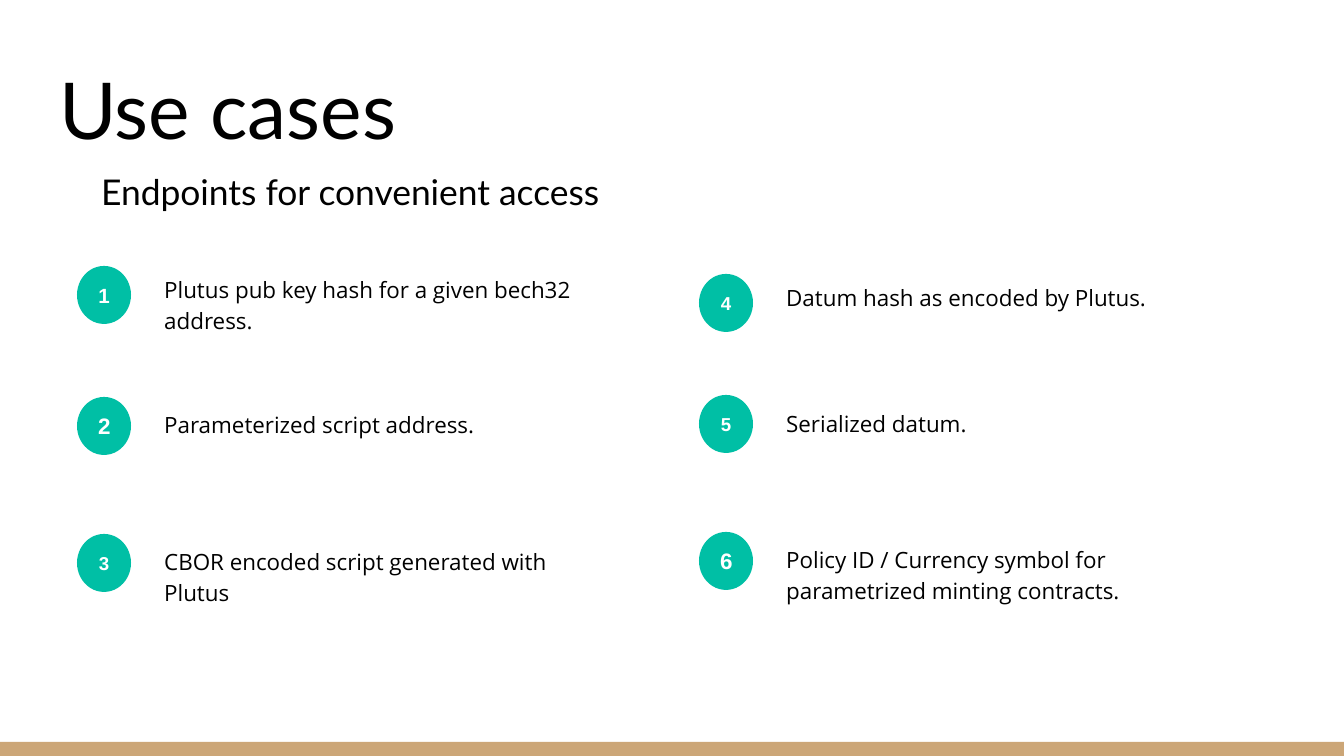
"""Build the "Use cases" slide: six numbered endpoints in two columns."""
from pptx import Presentation
from pptx import util as u
from pptx.dml.color import RGBColor
from pptx.enum import shapes, text

PX = 914400 / 134.4
THEME = {
    "ink": "000000", "badge": "00BFA5", "badge_ink": "FFFFFF", "bar": "CCA677",
    "heading": "Lato", "body": "Open Sans", "number": "Arial",
    "title_pt": 42, "subtitle_pt": 19, "body_pt": 12,
}
COLUMNS = [77, 699]
TEXT_OFFSET = 74
ENDPOINTS = [
    (0, 266, 259, 77, 11, "Plutus pub key hash for a given bech32 address."),
    (0, 397, 394, 67, 12, "Parameterized script address."),
    (0, 534, 531, 83, 10, "CBOR encoded script generated with Plutus"),
    (1, 274, 267, 77, 10, "Datum hash as encoded by Plutus."),
    (1, 395, 393, 67, 10, "Serialized datum."),
    (1, 532, 529, 83, 12, "Policy ID / Currency symbol for parametrized minting contracts."),
]


def add_shape(s, kind, box, fill):
    sp = s.shapes.add_shape(kind, *(u.Emu(round(v * PX)) for v in box))
    sp.shadow.inherit = False
    sp.fill.solid()
    sp.fill.fore_color.rgb = RGBColor.from_string(fill)
    sp.line.fill.background()
    return sp


def write(sp, words, font, size, color, anchor=text.MSO_ANCHOR.TOP):
    tf = sp.text_frame
    tf.word_wrap = True
    tf.vertical_anchor = anchor
    tf.margin_left = tf.margin_right = tf.margin_top = tf.margin_bottom = u.Inches(0.1)
    tf.text = words
    p = tf.paragraphs[0]
    r = p.runs[0]
    r.font.name = font
    r.font.size = u.Pt(size)
    r.font.color.rgb = RGBColor.from_string(color)
    return p


prs = Presentation()
prs.slide_width, prs.slide_height = u.Emu(round(1344 * PX)), u.Emu(round(756 * PX))
s = prs.slides.add_slide(prs.slide_layouts[6])

add_shape(s, shapes.MSO_SHAPE.RECTANGLE, (0, 742, 1344, 14), THEME["bar"])

for box, words, size, anchor in [
    ((46, 47, 1252, 122), "Use cases", THEME["title_pt"], text.MSO_ANCHOR.BOTTOM),
    ((88, 157, 1146, 70), "Endpoints for convenient access", THEME["subtitle_pt"], text.MSO_ANCHOR.TOP),
]:
    sp = s.shapes.add_textbox(*(u.Emu(round(v * PX)) for v in box))
    write(sp, words, THEME["heading"], size, THEME["ink"], anchor)

for number, (column, badge_top, text_top, height, size, words) in enumerate(ENDPOINTS, 1):
    left = COLUMNS[column]
    sp = add_shape(s, shapes.MSO_SHAPE.OVAL, (left, badge_top, 54, 58), THEME["badge"])
    p = write(sp, str(number), THEME["number"], size, THEME["badge_ink"], text.MSO_ANCHOR.MIDDLE)
    p.alignment = text.PP_ALIGN.CENTER
    p.runs[0].font.bold = True

    box = (left + TEXT_OFFSET, text_top, 469, height)
    sp = s.shapes.add_textbox(*(u.Emu(round(v * PX)) for v in box))
    p = write(sp, words, THEME["body"], THEME["body_pt"], THEME["ink"])
    p.line_spacing = 1.15
    p.space_after = u.Pt(12)

prs.save("out.pptx")
